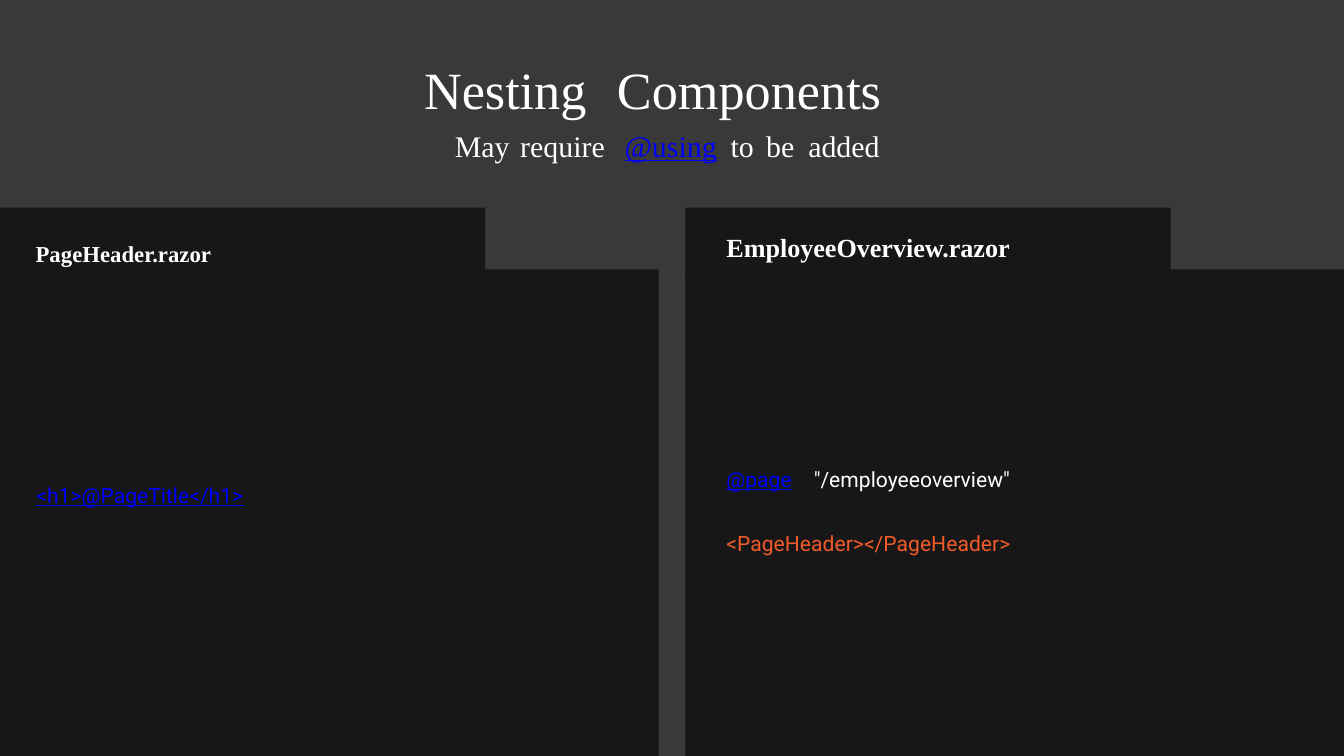
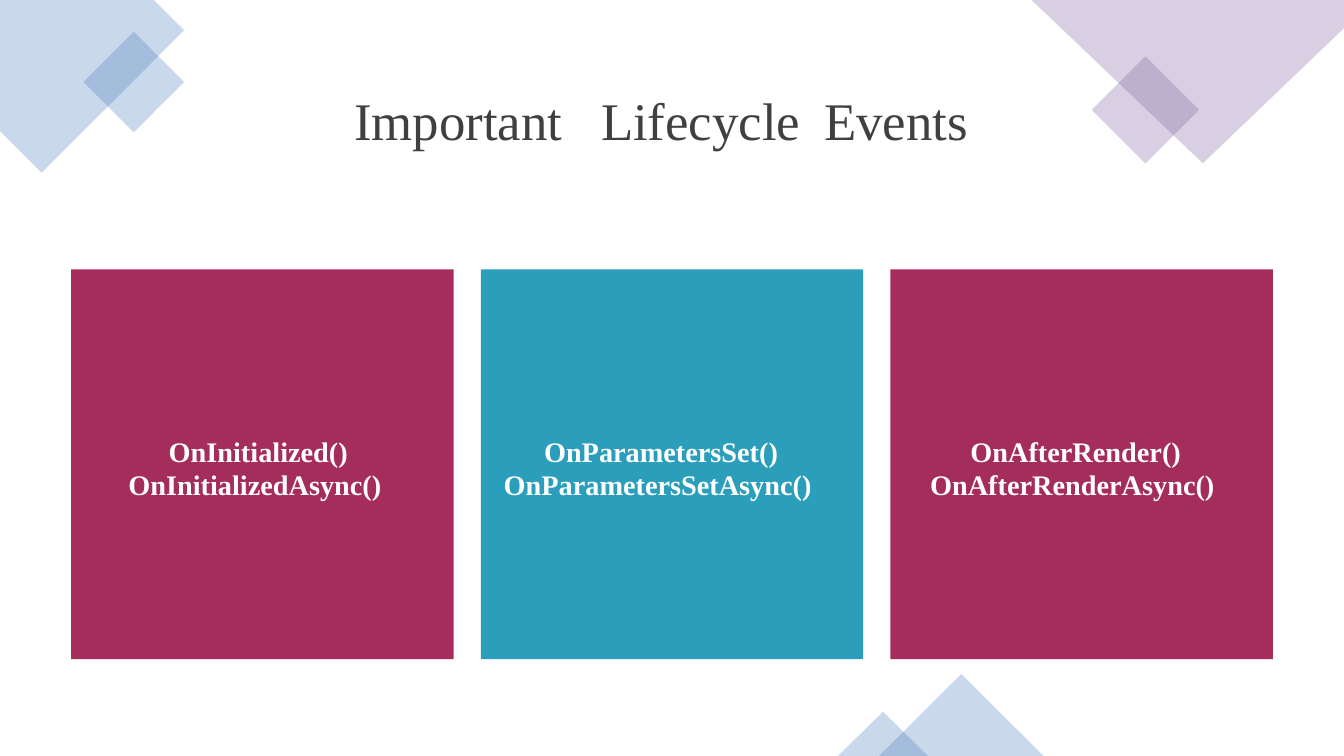
import pptx
import pptx.dml.color
import pptx.enum.shapes
import pptx.enum.text
import pptx.oxml.ns
import pptx.oxml.xmlchemy
import pptx.util
from lxml import etree

Inches, Pt = pptx.util.Inches, pptx.util.Pt
SHAPES = pptx.enum.shapes.MSO_SHAPE
ANCHOR = pptx.enum.text.MSO_ANCHOR
qn = pptx.oxml.ns.qn

SLIDE_W, SLIDE_H = 20, 11.25
SERIF, CODE_FONT = "Times New Roman", "Roboto"
WHITE, DARK_TEXT, LINK_BLUE, ORANGE = "FEFFFE", "3F403F", "0000FF", "F15A2A"
GREY, BLACK = "383938", "161716"
CRIMSON, TEAL = "A52D5C", "2A9EBB"
PALE_BLUE, PALE_PURPLE = "4F81BD", "8064A2"


def rgb(value):
    return pptx.dml.color.RGBColor.from_string(value)


def paint(shape, color, opacity=None):
    """Fill a shape flat, without line or shadow; opacity is in percent."""
    shape.shadow.inherit = False
    shape.line.fill.background()
    shape.fill.solid()
    shape.fill.fore_color.rgb = rgb(color)
    if opacity is not None:
        clr = shape._element.spPr.find(".//" + qn("a:srgbClr"))
        etree.SubElement(clr, qn("a:alpha")).set("val", str(opacity * 1000))


def add_block(slide, kind, box, color, opacity=None):
    block = slide.shapes.add_shape(kind, *map(Inches, box))
    paint(block, color, opacity)
    return block


def add_outline(slide, points, color, opacity):
    corners = [(Inches(x), Inches(y)) for x, y in points]
    builder = slide.shapes.build_freeform(*corners[0])
    builder.add_line_segments(corners[1:], close=True)
    paint(builder.convert_to_shape(), color, opacity)


def format_run(run, size, color, font=SERIF, bold=False, underline=False, raised=False):
    """Format a run; raised lifts it by 1 %, which also draws it smaller."""
    run.font.size = Pt(size)
    run.font.name = font
    run.font.bold = bold
    run.font.underline = underline
    run.font.color.rgb = rgb(color)
    if raised:
        run._r.get_or_add_rPr().set("baseline", "1000")


def prepare_frame(frame, anchor=ANCHOR.TOP, wrap=False):
    frame.margin_left = frame.margin_right = 0
    frame.margin_top = frame.margin_bottom = 0
    frame.auto_size = pptx.enum.text.MSO_AUTO_SIZE.NONE
    frame.vertical_anchor = anchor
    frame.word_wrap = wrap
    line = frame.paragraphs[0]
    line.alignment = pptx.enum.text.PP_ALIGN.LEFT
    return line


def set_leading(line, leading, before):
    line.line_spacing = Pt(leading)
    line.space_before = Pt(before)


def write_spaced(line, words, gaps, size, color, link=None):
    """Write words in a row, each gap widened by so many points."""
    for word, gap in zip(words, gaps + [None]):
        run = line.add_run()
        run.text = word
        is_link = word == link
        format_run(run, size, LINK_BLUE if is_link else color, underline=is_link)
        if gap is not None:
            space = line.add_run()
            space.text = " "
            format_run(space, size, color)
            space._r.get_or_add_rPr().set("spc", str(round(gap * 100)))


def add_title(slide, box, words, gaps, size, color):
    title = slide.shapes.title
    title.left, title.top, title.width, title.height = map(Inches, box)
    line = prepare_frame(title.text_frame)
    set_leading(line, size + 2, 2.9)
    write_spaced(line, words, gaps, size, color)


def add_line_box(slide, box):
    return prepare_frame(slide.shapes.add_textbox(*map(Inches, box)).text_frame)


def add_subtitle(slide, box):
    line = add_line_box(slide, box)
    set_leading(line, 33, 1.6)
    write_spaced(line, ["May", "require", "@using", "to", "be", "added"],
                 [3.2, 13, 6.8, 5, 7], 32, WHITE, link="@using")


def add_code_panel(slide, box, file_name, name_inset, name_style, code):
    """Draw a file tab over its code area; code holds (x, y, width, text, color)."""
    left, top, width, height = box
    tab_height, body_offset = 1.17, 0.92
    add_block(slide, SHAPES.RECTANGLE,
              (left, top + body_offset, width, height - body_offset), BLACK)
    tab = add_block(slide, SHAPES.RECTANGLE, (left, top, 7.22, tab_height), BLACK)
    line = prepare_frame(tab.text_frame, ANCHOR.MIDDLE)
    tab.text_frame.margin_left = Inches(name_inset)
    line.text = file_name
    format_run(line.runs[0], color=WHITE, bold=True, **name_style)
    for x, y, text_width, text, color in code:
        line = add_line_box(slide, (left + x, top + y, text_width, 0.39))
        set_leading(line, 28, 1.4)
        line.text = text
        format_run(line.runs[0], 39, color, CODE_FONT,
                   underline=color == LINK_BLUE, raised=True)


def build_nesting_slide(slide):
    slide.background.fill.solid()
    slide.background.fill.fore_color.rgb = rgb(GREY)
    add_title(slide, (6.31, 0.98, 7.5, 0.81), ["Nesting", "Components"], [18.4], 56, WHITE)
    add_subtitle(slide, (6.77, 1.97, 6.63, 0.47))
    panel_top, panel_width = 3.09, 9.8
    panel_height = SLIDE_H - panel_top
    add_code_panel(slide, (0, panel_top, panel_width, panel_height),
                   "PageHeader.razor", 0.53, {"size": 42, "raised": True},
                   [(0.54, 4.13, 4.21, "<h1>@PageTitle</h1>", LINK_BLUE)])
    add_code_panel(slide, (SLIDE_W - panel_width, panel_top, panel_width, panel_height),
                   "EmployeeOverview.razor", 0.61, {"size": 28},
                   [(0.61, 3.89, 1.17, "@page", LINK_BLUE),
                    (1.91, 3.89, 4.2, '"/employeeoverview"', WHITE),
                    (0.61, 4.84, 5.51, "<PageHeader></PageHeader>", ORANGE)])


def add_corner_decor(slide):
    opacity = 30
    add_outline(slide, [(0, 0), (2.29, 0), (2.74, 0.45), (0.62, 2.57), (0, 1.95)],
                PALE_BLUE, opacity)
    for left, top, side, color in [(1.46, 0.69, 1.06, PALE_BLUE),
                                   (16.48, 1.07, 1.13, PALE_PURPLE)]:
        square = add_block(slide, SHAPES.RECTANGLE, (left, top, side, side), color, opacity)
        square.rotation = 315
    add_outline(slide, [(15.35, 0), (20, 0), (20, 0.42), (17.9, 2.43)],
                PALE_PURPLE, opacity)
    for left, width, height in [(13.08, 2.45, 1.22), (12.47, 1.34, 0.66)]:
        add_block(slide, SHAPES.ISOSCELES_TRIANGLE,
                  (left, SLIDE_H - height, width, height), PALE_BLUE, opacity)


def add_event_card(slide, box, methods, margin, color):
    card = add_block(slide, SHAPES.RECTANGLE, box, color)
    line = prepare_frame(card.text_frame, ANCHOR.MIDDLE, wrap=True)
    card.text_frame.margin_top = Inches(0.1)
    line.text = methods
    format_run(line.runs[0], 30.3, WHITE, bold=True)
    props = line._p.get_or_add_pPr()
    props.set("marL", str(Inches(margin)))
    props.set("indent", str(Inches(0.6)))


def build_lifecycle_slide(slide):
    add_corner_decor(slide)
    add_title(slide, (5.27, 1.44, 9.5, 0.81), ["Important", "Lifecycle", "Events"],
              [27, 11], 56.6, DARK_TEXT)
    cards = [("OnInitialized() OnInitializedAsync()", 0.85, CRIMSON),
             ("OnParametersSet() OnParametersSetAsync()", 0.34, TEAL),
             ("OnAfterRender() OnAfterRenderAsync()", 0.59, CRIMSON)]
    first_left, card_width = 1.06, 5.69
    step = (SLIDE_W - 2 * first_left - card_width) / (len(cards) - 1)
    for index, (methods, margin, color) in enumerate(cards):
        add_event_card(slide, (first_left + index * step, 4.01, card_width, 5.8),
                       methods, margin, color)


def main():
    deck = pptx.Presentation()
    deck.slide_width, deck.slide_height = Inches(SLIDE_W), Inches(SLIDE_H)
    title_only = deck.slide_layouts[5]
    for build in (build_nesting_slide, build_lifecycle_slide):
        build(deck.slides.add_slide(title_only))
    deck.save("out.pptx")


if __name__ == "__main__":
    main()
